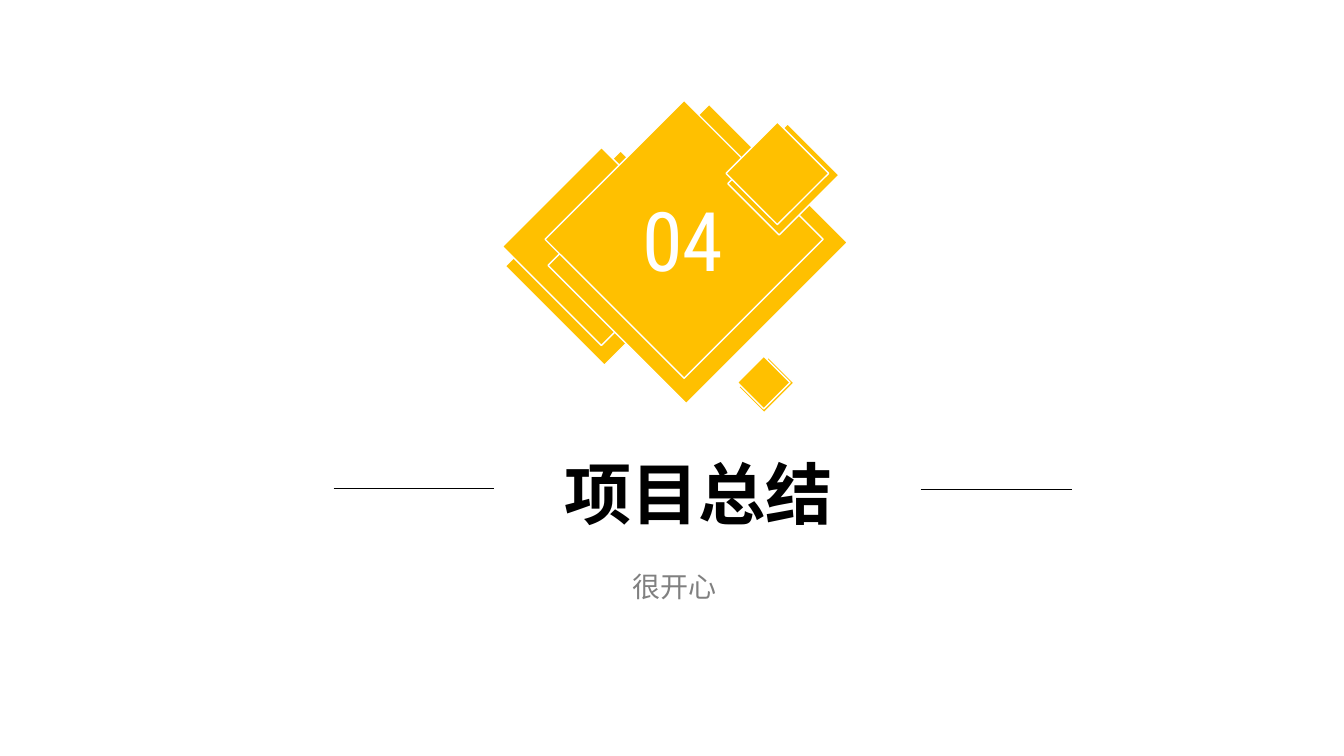
"""Build the section slide 04 with a cluster of diamonds above its title."""
from dataclasses import dataclass

from lxml import etree
from pptx import Presentation
from pptx.dml.color import RGBColor
from pptx.enum.shapes import MSO_CONNECTOR as Connector, MSO_SHAPE as Shape
from pptx.enum.text import MSO_ANCHOR as Anchor, PP_ALIGN as Align
from pptx.oxml.ns import qn
from pptx.util import Inches, Pt


@dataclass(frozen=True)
class Theme:
    gold: RGBColor = RGBColor.from_string("FFC000")
    white: RGBColor = RGBColor.from_string("FFFFFF")
    black: RGBColor = RGBColor.from_string("000000")
    gray: RGBColor = RGBColor.from_string("808080")
    chinese_font: str = "Noto Sans CJK SC"
    number_font: str = "Roboto Condensed"
    title_size: float = 48
    subtitle_size: float = 20
    number_size: float = 58.7
    outline: float = 1
    rule: float = 0.75


theme = Theme()


def write_text(shape, text, font_name, size, color, bold=False, anchor=Anchor.TOP):
    frame = shape.text_frame
    frame.word_wrap = True
    frame.vertical_anchor = anchor
    paragraph = frame.paragraphs[0]
    paragraph.alignment = Align.CENTER
    run = paragraph.add_run()
    run.text = text
    run.font.name = font_name
    run.font.size = Pt(size)
    run.font.bold = bold
    run.font.color.rgb = color
    east_asian = etree.SubElement(run.font._element, qn("a:ea"))
    east_asian.set("typeface", font_name)


presentation = Presentation()
presentation.slide_width = Inches(13.33)
presentation.slide_height = Inches(7.5)
slide = presentation.slides.add_slide(presentation.slide_layouts[6])
slide.background.fill.solid()
slide.background.fill.fore_color.rgb = theme.white

diamonds = [
    (5.38, 1.75, 1.39, 1.62),
    (5.27, 1.75, 1.39, 1.39),
    (5.95, 1.39, 1.94, 2.26),
    (5.81, 1.4, 1.95, 1.95),
    (7.41, 1.36, 0.72, 0.84),
    (7.35, 1.36, 0.72, 0.72),
    (7.42, 3.61, 0.36, 0.42),
    (7.39, 3.61, 0.37, 0.37),
]
cluster = slide.shapes.add_group_shape()
for bounds in diamonds:
    diamond = cluster.shapes.add_shape(Shape.RECTANGLE, *map(Inches, bounds))
    diamond.rotation = 45
    diamond.shadow.inherit = False
    diamond.fill.solid()
    diamond.fill.fore_color.rgb = theme.gold
    diamond.line.color.rgb = theme.white
    diamond.line.width = Pt(theme.outline)

title = slide.shapes.add_shape(
    Shape.RECTANGLE, Inches(2.36), Inches(4.44), Inches(9.14), Inches(1.72))
title.shadow.inherit = False
title.fill.solid()
title.fill.fore_color.rgb = theme.white
title.line.fill.background()
write_text(title, "项目总结", theme.chinese_font, theme.title_size, theme.black, bold=True)

subtitle = slide.shapes.add_textbox(Inches(2.74), Inches(5.6), Inches(7.9), Inches(0.44))
write_text(subtitle, "很开心", theme.chinese_font, theme.subtitle_size, theme.gray)

for left, right, y in [(3.31, 4.9, 4.85), (9.13, 10.63, 4.86)]:
    rule = slide.shapes.add_connector(
        Connector.STRAIGHT, Inches(left), Inches(y), Inches(right), Inches(y))
    rule.line.color.rgb = theme.black
    rule.line.width = Pt(theme.rule)
    etree.SubElement(rule._element.spPr, qn("a:effectLst"))

number = slide.shapes.add_textbox(Inches(5.53), Inches(2.02), Inches(2.48), Inches(0.7))
write_text(number, "04", theme.number_font, theme.number_size, theme.white,
           anchor=Anchor.MIDDLE)

presentation.save("out.pptx")
